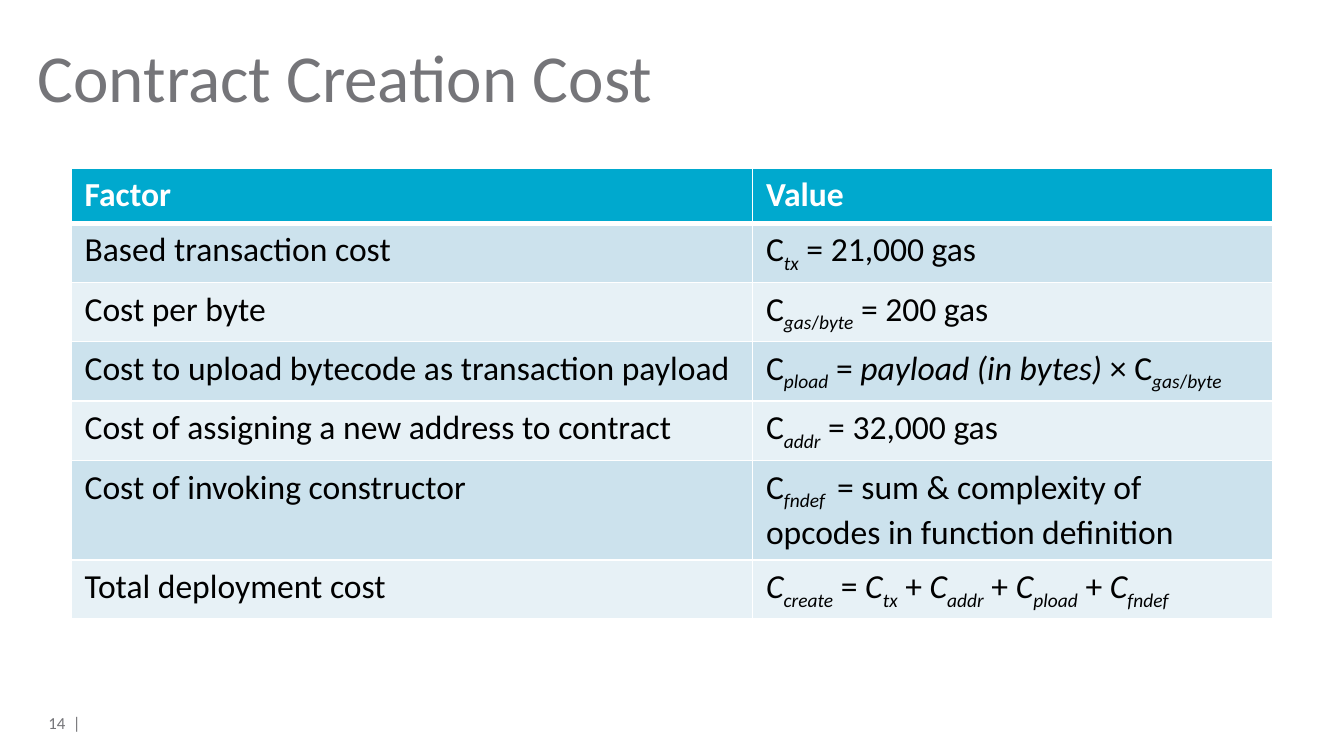
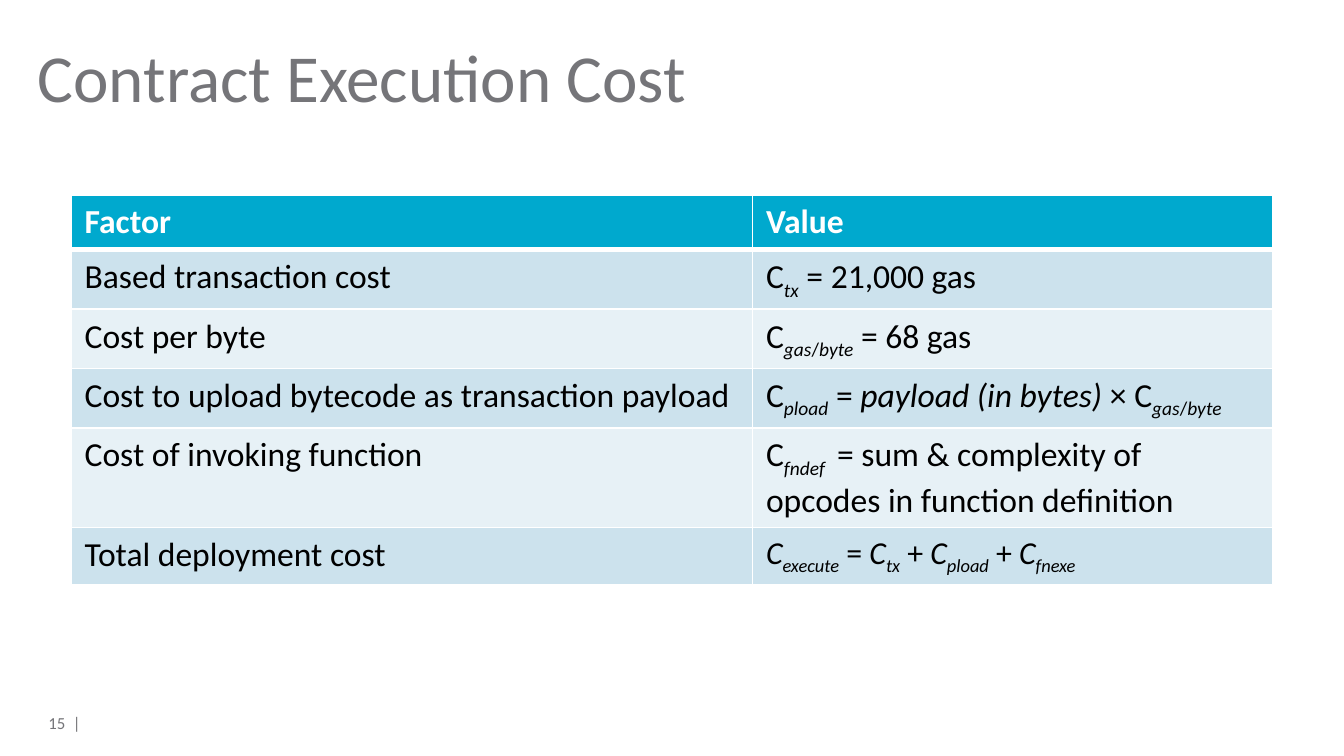
from dataclasses import dataclass
from typing import NamedTuple

from lxml import etree
from pptx import Presentation
from pptx.dml.color import RGBColor
from pptx.enum import text
from pptx.oxml import ns
from pptx.util import Inches, Length, Pt

FONT = "Calibri"
GREY = RGBColor(0x75, 0x75, 0x79)
WHITE = RGBColor(0xFF, 0xFF, 0xFF)
BLACK = RGBColor(0x00, 0x00, 0x00)
HEADER_BLUE = RGBColor(0x00, 0xA9, 0xCE)
BANDS = (RGBColor(0xCC, 0xE2, 0xED), RGBColor(0xE7, 0xF1, 0xF6))

PAGE_WIDTH = Inches(10)
PAGE_HEIGHT = PAGE_WIDTH * 9 // 16
MARGIN = Inches(0.28)
COLUMN_WIDTHS = (Inches(5.07), Inches(3.87))
ROW_HEIGHT = Inches(0.41)


class Span(NamedTuple):
    words: str
    italic: bool = False
    subscript: bool = False


class Row(NamedTuple):
    factor: str
    value: tuple[Span, ...]
    value_size: float = 18


@dataclass(frozen=True)
class CostPage:
    title: str
    number: int
    table_top: Length
    rows: tuple[Row, ...]


def cost(name: str, italic: bool = False) -> tuple[Span, ...]:
    return Span("C", italic), Span(name, True, True)


def total(name: str, parts: tuple[str, ...]) -> tuple[Span, ...]:
    spans = cost(name, True)
    for index, part in enumerate(parts):
        spans += (Span(" + " if index else " = "),) + cost(part, True)
    return spans


PER_BYTE = (Span("C"), Span("gas", True, True), Span("/", False, True), Span("byte", True, True))
BASE = Row("Based transaction cost", cost("tx") + (Span(" = 21,000 gas"),))
UPLOAD = Row(
    "Cost to upload bytecode as transaction payload",
    cost("pload") + (Span(" = "), Span("payload (in bytes) ", True), Span("× ")) + PER_BYTE,
)
INVOKING = cost("fndef ") + (Span(" = sum & complexity of opcodes in function definition"),)


def byte_row(gas: int) -> Row:
    return Row("Cost per byte", PER_BYTE + (Span(f" = {gas} gas"),))


PAGES = (
    CostPage("Contract Creation Cost", 14, Inches(1.25), (
        BASE,
        byte_row(200),
        UPLOAD,
        Row("Cost of assigning a new address to contract",
            cost("addr") + (Span(" = 32,000 gas"),)),
        Row("Cost of invoking constructor", INVOKING),
        Row("Total deployment cost", total("create", ("tx", "addr", "pload", "fndef"))),
    )),
    CostPage("Contract Execution Cost", 15, Inches(1.45), (
        BASE,
        byte_row(68),
        UPLOAD,
        Row("Cost of invoking function", INVOKING),
        Row("Total deployment cost", total("execute", ("tx", "pload", "fnexe")), 17.1),
    )),
)


def style(paragraph, size: float, color: RGBColor, bold: bool = False) -> None:
    font = paragraph.font
    font.name, font.size, font.bold = FONT, Pt(size), bold
    font.color.rgb = color


def add_label(page, words: str, top: Length, width: Length, height: Length, size: float,
              align=text.PP_ALIGN.LEFT, anchor=text.MSO_ANCHOR.TOP) -> None:
    frame = page.shapes.add_textbox(MARGIN, top, width, height).text_frame
    frame.word_wrap = True
    frame.vertical_anchor = anchor
    frame.margin_left = frame.margin_top = frame.margin_right = frame.margin_bottom = 0
    paragraph = frame.paragraphs[0]
    paragraph.text = words
    paragraph.alignment = align
    style(paragraph, size, GREY)


def set_borders(cell, top: float, bottom: float) -> None:
    properties = cell._tc.get_or_add_tcPr()
    for side, width in (("L", 1), ("R", 1), ("T", top), ("B", bottom)):
        line = etree.SubElement(properties, ns.qn(f"a:ln{side}"), w=str(Pt(width)))
        fill = etree.SubElement(line, ns.qn("a:solidFill"))
        etree.SubElement(fill, ns.qn("a:srgbClr"), val=str(WHITE))


def fill_cell(cell, spans: tuple[Span, ...], fill: RGBColor, color: RGBColor,
              size: float = 18, bold: bool = False) -> None:
    cell.fill.solid()
    cell.fill.fore_color.rgb = fill
    paragraph = cell.text_frame.paragraphs[0]
    style(paragraph, size, color, bold)
    for item in spans:
        span = paragraph.add_run()
        span.text = item.words
        span.font.italic = item.italic
        if item.subscript:
            span._r.get_or_add_rPr().set("baseline", "-25000")


def add_cost_table(page, top: Length, rows: tuple[Row, ...]) -> None:
    count = len(rows) + 1
    table = page.shapes.add_table(count, len(COLUMN_WIDTHS), Inches(0.53), top,
                                  sum(COLUMN_WIDTHS), ROW_HEIGHT * count).table
    for column, width in zip(table.columns, COLUMN_WIDTHS):
        column.width = width
    for index, line in enumerate(table.rows):
        line.height = ROW_HEIGHT
        for cell in line.cells:
            set_borders(cell, 3 if index == 1 else 1, 3 if index == 0 else 1)
    for column, heading in enumerate(("Factor", "Value")):
        fill_cell(table.cell(0, column), (Span(heading),), HEADER_BLUE, WHITE, bold=True)
    for index, row in enumerate(rows):
        band = BANDS[index % 2]
        fill_cell(table.cell(index + 1, 0), (Span(row.factor),), band, BLACK)
        fill_cell(table.cell(index + 1, 1), row.value, band, BLACK, row.value_size)


def main() -> None:
    deck = Presentation()
    deck.slide_width, deck.slide_height = PAGE_WIDTH, PAGE_HEIGHT
    for content in PAGES:
        page = deck.slides.add_slide(deck.slide_layouts[6])
        add_label(page, content.title, Inches(0.26), Inches(9.45), Inches(0.7), 36)
        add_label(page, f"{content.number}  |", Inches(5.33), Inches(0.32), Inches(0.1), 9,
                  text.PP_ALIGN.RIGHT, text.MSO_ANCHOR.MIDDLE)
        add_cost_table(page, content.table_top, content.rows)
    deck.save("out.pptx")


if __name__ == "__main__":
    main()
